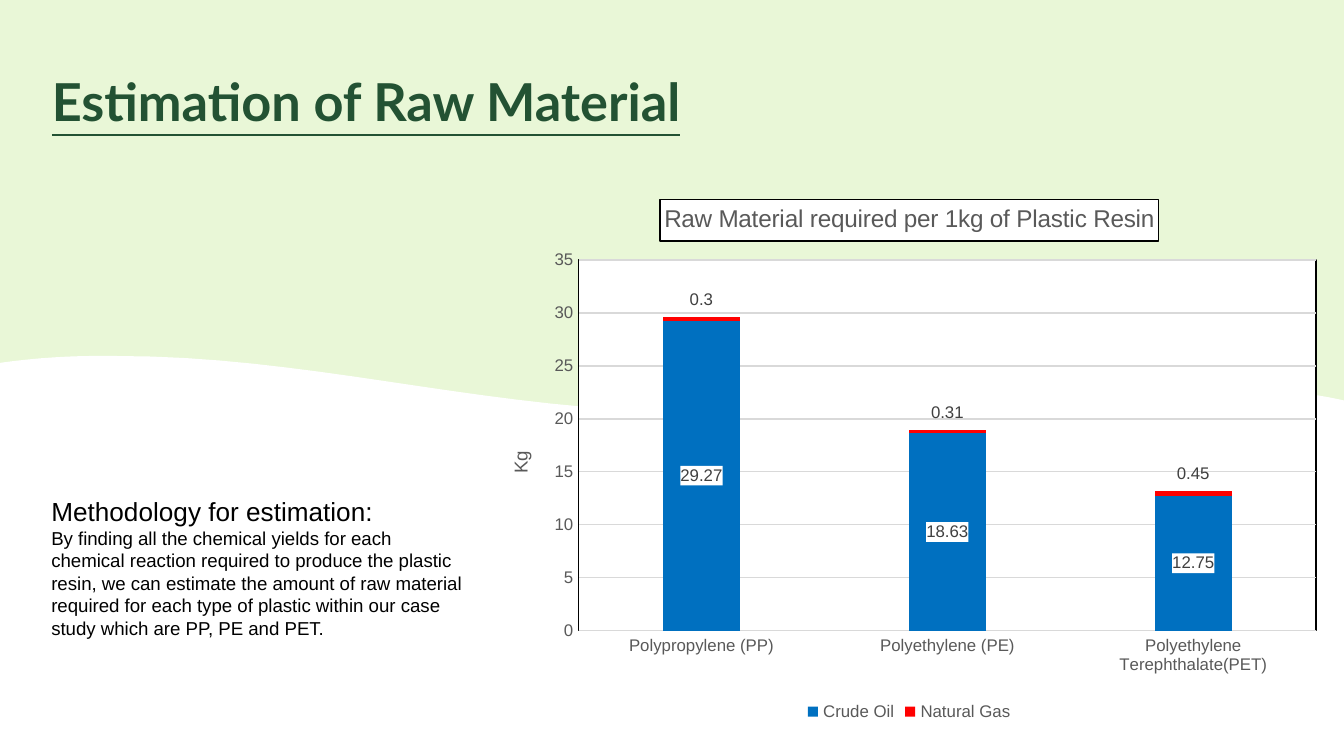
from lxml import etree
from pptx import Presentation
from pptx.chart.data import CategoryChartData
from pptx.dml.color import RGBColor
from pptx.enum.chart import XL_CHART_TYPE, XL_LEGEND_POSITION, XL_TICK_MARK
from pptx.enum.text import MSO_AUTO_SIZE
from pptx.oxml import parse_xml
from pptx.oxml.ns import nsdecls, qn
from pptx.util import Cm, Pt

STACKED = XL_CHART_TYPE.COLUMN_STACKED
BOTTOM = XL_LEGEND_POSITION.BOTTOM
NO_TICK = XL_TICK_MARK.NONE
GROW = MSO_AUTO_SIZE.SHAPE_TO_FIT_TEXT

# Content
TITLE = "Estimation of Raw Material"
METHOD = [
    ("Methodology for estimation:", 14),
    ("By finding all the chemical yields for each chemical reaction required to "
     "produce the plastic resin, we can estimate the amount of raw material required "
     "for each type of plastic within our case study which are PP, PE and PET.", 10),
]
CHART_TITLE = "Raw Material required per 1kg of Plastic Resin"
RESINS = ["Polypropylene (PP)", "Polyethylene (PE)", "Polyethylene Terephthalate(PET)"]
MATERIALS = [
    ("Crude Oil", (29.27, 18.63, 12.75), "0070C0"),
    ("Natural Gas", (0.3, 0.31, 0.45), "FF0000"),
]

# Wave edge from left to right in cm: start, then two handles and an end per curve
WIDTH, HEIGHT = 25.4, 14.29
WAVE_START = (0, 6.86)
WAVE_CURVES = [
    ((0.58, 6.78), (1.19, 6.73), (1.8, 6.73)),
    ((1.93, 6.73), (2.08, 6.73), (2.21, 6.73)),
    ((5.72, 6.73), (8.84, 7.65), (12.34, 7.77)),
    ((12.6, 7.77), (12.85, 7.77), (13.11, 7.77)),
    ((16.1, 7.77), (19.13, 7.26), (22.05, 7.26)),
    ((22.78, 7.26), (23.52, 7.29), (24.26, 7.39)),
    ((24.66, 7.43), (25.04, 7.49), (25.4, 7.57)),
]
STEPS = 16
GREY, PALE_GREY = "595959", "D9D9D9"


def color(value):
    return RGBColor.from_string(value)


def paint(fill, value):
    fill.solid()
    fill.fore_color.rgb = color(value)


def style(font, name, size, value, bold=False):
    font.name, font.size, font.bold = name, Pt(size), bold
    font.color.rgb = color(value)


def outline(line, value):
    line.color.rgb = color(value)
    line.width = Pt(0.75)


def bezier(start, first, second, end):
    for step in range(1, STEPS + 1):
        t = step / STEPS
        u = 1 - t
        yield tuple(u**3 * a + 3 * u * u * t * b + 3 * u * t * t * c + t**3 * d
                    for a, b, c, d in zip(start, first, second, end))


def box_format(line=""):
    """White background for chart parts, optionally with an outline."""
    return parse_xml(f'<c:spPr {nsdecls("c", "a")}><a:solidFill><a:srgbClr val="FFFFFF"/>'
                     f'</a:solidFill>{line}</c:spPr>')


def manual_layout(**settings):
    layout = etree.Element(qn("c:layout"))
    manual = etree.SubElement(layout, qn("c:manualLayout"))
    for tag, value in settings.items():
        etree.SubElement(manual, qn(f"c:{tag}")).set("val", str(value))
    return layout


deck = Presentation()
deck.slide_width, deck.slide_height = Cm(WIDTH), Cm(HEIGHT)
slide = deck.slides.add_slide(deck.slide_layouts[6])
paint(slide.background.fill, "E9F7D7")

# White wave
edge = [WAVE_START]
for curve in WAVE_CURVES:
    edge.extend(bezier(edge[-1], *curve))
edge += [(WIDTH, HEIGHT), (0, HEIGHT)]
points = [(Cm(x), Cm(y)) for x, y in edge]
builder = slide.shapes.build_freeform(*points[0])
builder.add_line_segments(points[1:], close=True)
wave = builder.convert_to_shape()
wave.shadow.inherit = False
paint(wave.fill, "FFFFFF")
wave.line.fill.background()

# Methodology
method = slide.shapes.add_textbox(Cm(0.72), Cm(9.24), Cm(8.26), Cm(3))
frame = method.text_frame
frame.word_wrap, frame.auto_size = True, GROW
frame.text = "\n".join(text for text, _ in METHOD)
for paragraph, (_, size) in zip(frame.paragraphs, METHOD):
    style(paragraph.runs[0].font, "Arial", size, "000000")

# Chart
data = CategoryChartData()
data.categories = RESINS
for material, amounts, _ in MATERIALS:
    data.add_series(material, amounts)
chart = slide.shapes.add_chart(STACKED, Cm(9.13), Cm(3.43), Cm(16.1), Cm(10.31), data).chart
style(chart.font, "Arial", 10, "000000")
plot = chart.plots[0]
plot.gap_width, plot.overlap, plot.vary_by_categories = 219, 100, False

heading = chart.chart_title
heading.text_frame.text = CHART_TITLE
style(heading.text_frame.paragraphs[0].runs[0].font, "Arial", 13, GREY)
paint(heading.format.fill, "FFFFFF")
outline(heading.format.line, "000000")

chart.has_legend = True
chart.legend.position = BOTTOM
chart.legend.include_in_layout = False
style(chart.legend.font, "Arial", 9, GREY)

# Axes
resin_axis, kg_axis = chart.category_axis, chart.value_axis
for axis in (resin_axis, kg_axis):
    axis.major_tick_mark = axis.minor_tick_mark = NO_TICK
    style(axis.tick_labels.font, "Arial", 9, GREY)
outline(resin_axis.format.line, PALE_GREY)
kg_axis.format.line.fill.background()
kg_axis.minimum_scale, kg_axis.maximum_scale, kg_axis.major_unit = 0, 35, 5
outline(kg_axis.major_gridlines.format.line, PALE_GREY)
kg_axis.axis_title.text_frame.text = "Kg"
style(kg_axis.axis_title.text_frame.paragraphs[0].runs[0].font, "Arial", 10, GREY)

# Series and their labels
for series, (_, _, fill) in zip(plot.series, MATERIALS):
    paint(series.format.fill, fill)
    series.data_labels.show_value = True
    style(series.data_labels.font, "Arial", 9, "404040")

oil, gas = plot.series
oil_text = oil._element.find(f"{qn('c:dLbls')}/{qn('c:txPr')}")
oil_text.addprevious(box_format())
for index in range(len(RESINS)):
    style(gas.points[index].data_label.font, "Arial", 9, "404040")
for label in gas._element.iter(qn("c:dLbl")):
    label.find(qn("c:idx")).addnext(manual_layout(x=0, y=-0.035))

# Plot area: fixed place, white with a black outline
area = plot._element.getparent()
for old in area.findall(qn("c:layout")):
    area.remove(old)
area.insert(0, manual_layout(layoutTarget="inner", xMode="edge", yMode="edge",
                             x=0.112, y=0.144, w=0.866, h=0.68))
area.append(box_format('<a:ln w="9525"><a:solidFill><a:srgbClr val="000000"/>'
                       '</a:solidFill></a:ln>'))

# Title
title = slide.shapes.add_textbox(Cm(0.73), Cm(1.06), Cm(12.75), Cm(1.6))
frame = title.text_frame
frame.word_wrap = True
frame.margin_left = frame.margin_right = frame.margin_top = frame.margin_bottom = Cm(0.25)
frame.text = TITLE
title_font = frame.paragraphs[0].runs[0].font
style(title_font, "Lato", 28, "235233", bold=True)
title_font.underline = True

deck.save("out.pptx")
